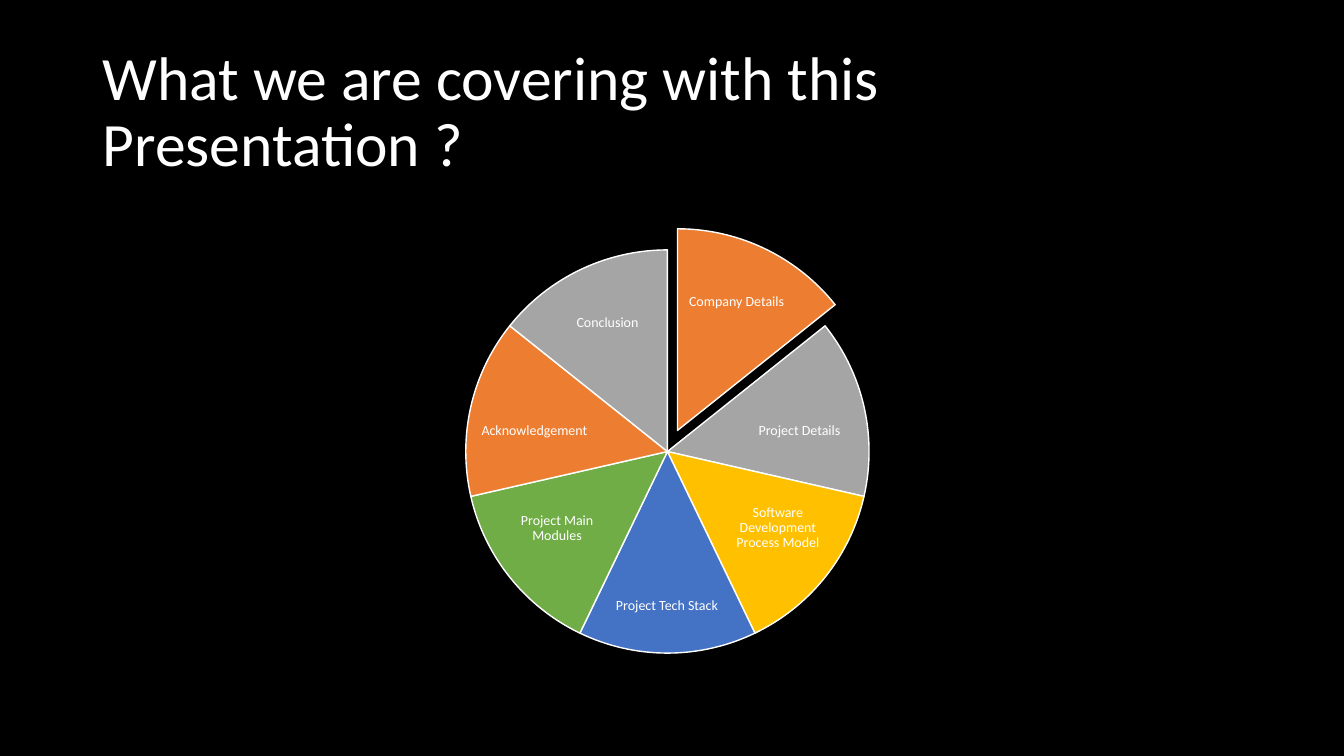
from pptx import Presentation
from pptx.dml.color import RGBColor
from pptx.enum.shapes import MSO_SHAPE
from pptx.enum.text import MSO_ANCHOR, PP_ALIGN
from pptx.util import Inches, Pt

COLORS = {
    "black": "000000", "white": "FFFFFF", "orange": "ED7D31", "gray": "A5A5A5",
    "gold": "FFC000", "blue": "4472C4", "green": "70AD47",
}


def rgb(name):
    return RGBColor.from_string(COLORS[name])


def add_text(s, text, box, size, insets, align):
    tf = s.shapes.add_textbox(*map(Inches, box)).text_frame
    tf.word_wrap = True
    tf.vertical_anchor = MSO_ANCHOR.MIDDLE
    tf.margin_left, tf.margin_top, tf.margin_right, tf.margin_bottom = map(Inches, insets)
    p = tf.paragraphs[0]
    p.text = text
    p.alignment = align
    p.line_spacing = 0.9
    p.font.size = Pt(size)
    p.font.name = "Calibri"
    p.font.color.rgb = rgb("white")


prs = Presentation()
prs.slide_width, prs.slide_height = Inches(13.33), Inches(7.5)
s = prs.slides.add_slide(prs.slide_layouts[6])
s.background.fill.solid()
s.background.fill.fore_color.rgb = rgb("black")

add_text(s, "What we are covering with this Presentation ?", (0.92, 0.4, 11.5, 1.45),
         44, (0.1, 0.05, 1, 0.05), PP_ALIGN.LEFT)

topics = [
    ("Company Details", "orange", (6.76, 2.65, 1.09, 0.69)),
    ("Project Details", "gray", (7.35, 3.91, 1.16, 0.74)),
    ("Software Development Process Model", "gold", (7.19, 4.86, 1.05, 0.76)),
    ("Project Tech Stack", "blue", (6.08, 5.63, 1.07, 0.76)),
    ("Project Main Modules", "green", (5, 4.86, 1.05, 0.76)),
    ("Acknowledgement", "orange", (4.72, 3.91, 1.16, 0.74)),
    ("Conclusion", "gray", (5.48, 2.86, 1.09, 0.69)),
]
ADJ_PER_DEGREE = 0.6
sweep = 360 / len(topics)

for i, (topic, color, label_box) in enumerate(topics):
    left, top = (4.72, 2.27) if i == 0 else (4.62, 2.48)
    sp = s.shapes.add_shape(MSO_SHAPE.PIE, Inches(left), Inches(top), Inches(4), Inches(4))
    sp.adjustments[0] = (270 + i * sweep) % 360 * ADJ_PER_DEGREE
    sp.adjustments[1] = (270 + (i + 1) * sweep) % 360 * ADJ_PER_DEGREE
    sp.shadow.inherit = False
    sp.fill.solid()
    sp.fill.fore_color.rgb = rgb(color)
    sp.line.color.rgb = rgb("white")
    sp.line.width = Pt(1)
    add_text(s, topic, label_box, 10, (0.01,) * 4, PP_ALIGN.CENTER)

prs.save("out.pptx")
